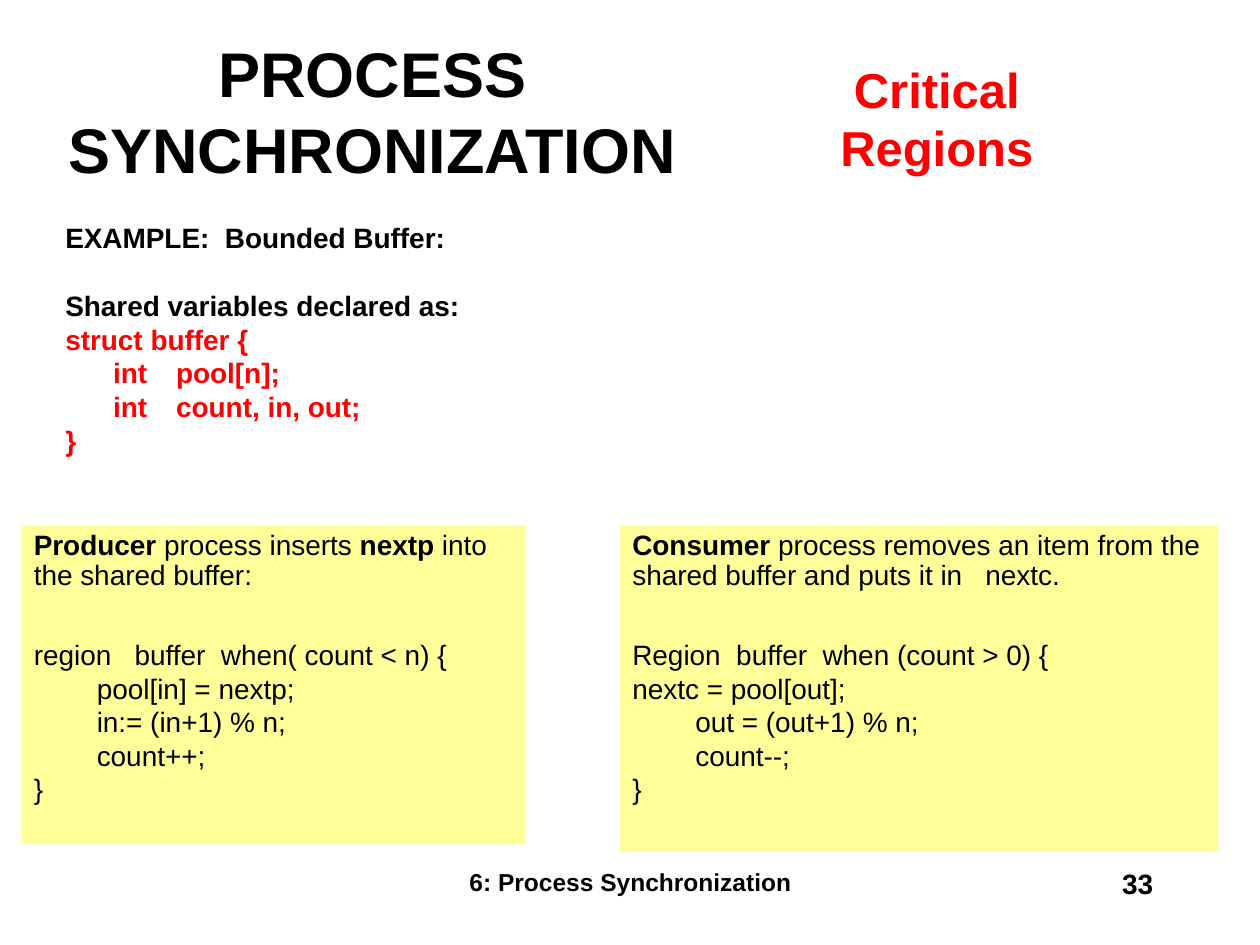
from pptx import Presentation
from pptx.dml.color import RGBColor
from pptx.enum.shapes import MSO_SHAPE
from pptx.enum.text import MSO_ANCHOR, PP_ALIGN
from pptx.util import Inches, Pt

LEFT, CENTER, RIGHT = PP_ALIGN.LEFT, PP_ALIGN.CENTER, PP_ALIGN.RIGHT
TOP, MIDDLE = MSO_ANCHOR.TOP, MSO_ANCHOR.MIDDLE
RECT = MSO_SHAPE.RECTANGLE
BLACK, RED, YELLOW = "000000", "FF0000", "FFFF99"


def rgb(value):
    return RGBColor.from_string(value)


def add_text(tf, text, size=16, color=BLACK, bold=False, align=LEFT,
             before=0, spacing=1.0, hanging=0):
    """Add a paragraph; every second piece between ** marks is bold."""
    p = tf.paragraphs[0]
    if p.runs:
        p = tf.add_paragraph()
    p.alignment = align
    p.space_before = Pt(before)
    p.line_spacing = spacing
    if hanging:
        pPr = p._p.get_or_add_pPr()
        pPr.set("marL", str(Inches(hanging)))
        pPr.set("indent", str(-Inches(hanging)))
    for i, piece in enumerate(text.split("**")):
        if piece:
            r = p.add_run()
            r.text = piece
            r.font.name = "Arial"
            r.font.size = Pt(size)
            r.font.bold = bold or i % 2 == 1
            r.font.color.rgb = rgb(color)


prs = Presentation()
prs.slide_width, prs.slide_height = Inches(10), Inches(7.5)
s = prs.slides.add_slide(prs.slide_layouts[6])

# Title, topic, footer and slide number
labels = [
    ("PROCESS SYNCHRONIZATION", 0.33, 0.25, 5.25, 1.25, 36, BLACK, CENTER, MIDDLE),
    ("Critical Regions", 5.86, 0.42, 3.15, 0.57, 28, RED, CENTER, TOP),
    ("6: Process Synchronization", 3.42, 6.83, 3.17, 0.5, 14, BLACK, CENTER, TOP),
    ("33", 7.17, 6.83, 2.08, 0.5, 16, BLACK, RIGHT, TOP),
]
for text, x, y, w, h, size, color, align, anchor in labels:
    tf = s.shapes.add_textbox(Inches(x), Inches(y), Inches(w), Inches(h)).text_frame
    tf.word_wrap = True
    tf.vertical_anchor = anchor
    add_text(tf, text, size=size, color=color, bold=True, align=align)

# Shared variables of the bounded buffer
tf = s.shapes.add_textbox(Inches(0.42), Inches(1.75), Inches(9.17), Inches(2.33)).text_frame
tf.word_wrap = True
declaration = [
    ("EXAMPLE:  Bounded Buffer:", BLACK, 4),
    ("Shared variables declared as:", BLACK, 23.5),
    ("struct buffer {", RED, 4),
    ("\tint \tpool[n];", RED, 4),
    ("\tint \tcount, in, out;", RED, 4),
    ("}", RED, 4),
]
for text, color, before in declaration:
    add_text(tf, text, color=color, bold=True, before=before, spacing=0.8, hanging=0.38)

# Producer and consumer panels
panels = [
    (0.17, 4, 2.53, "**Producer** process inserts **nextp** into the shared buffer:",
     ["region   buffer  when( count < n) {", "\tpool[in] = nextp;",
      "\tin:= (in+1) % n;", "\tcount++;", "}"]),
    (4.92, 4.75, 2.59, "**Consumer** process removes an item from the shared buffer "
     "and puts it in   nextc.",
     ["Region  buffer  when (count > 0) {", "nextc = pool[out];",
      "\tout = (out+1) % n;", "\tcount--;", "}"]),
]
for x, w, h, intro, code in panels:
    sp = s.shapes.add_shape(RECT, Inches(x), Inches(4.17), Inches(w), Inches(h))
    sp.shadow.inherit = False
    sp.fill.solid()
    sp.fill.fore_color.rgb = rgb(YELLOW)
    sp.line.fill.background()
    tf = sp.text_frame
    tf.word_wrap = True
    tf.vertical_anchor = TOP
    add_text(tf, intro, before=4, spacing=0.9)
    for i, line in enumerate(code):
        add_text(tf, line, before=0 if i else 26)

prs.save("out.pptx")
